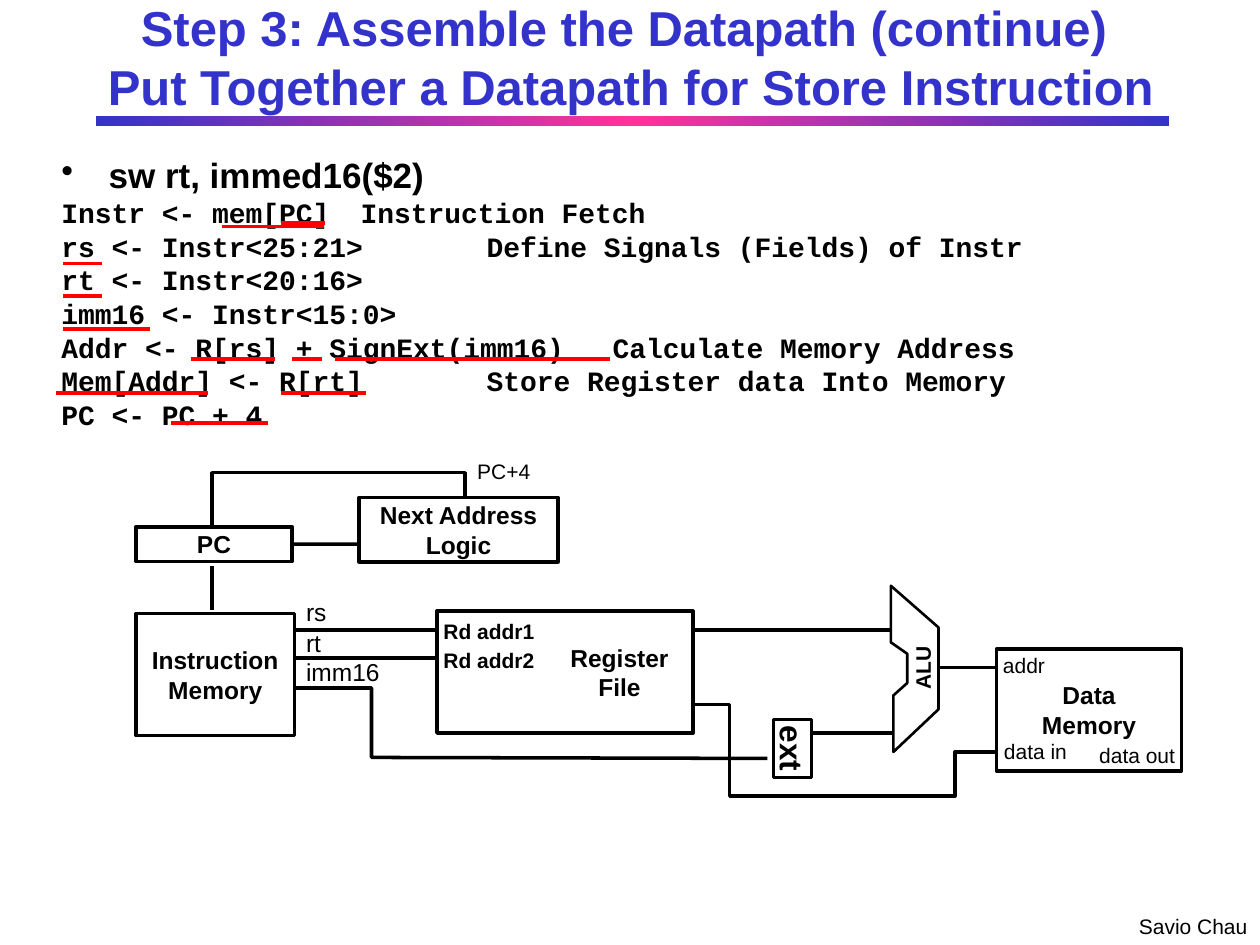
from copy import deepcopy
from pptx import Presentation
from pptx.dml.color import RGBColor as Rgb
from pptx.enum.shapes import MSO_CONNECTOR as Conn, MSO_SHAPE as Kind
from pptx.enum.text import MSO_ANCHOR as Anchor, MSO_AUTO_SIZE as Auto, PP_ALIGN as Align
from pptx.oxml.ns import qn
from pptx.util import Cm, Pt

BLUE, PINK, RED, BLACK, WHITE = "3333CC", "FF3399", "FF0000", "000000", "FFFFFF"

# Content: lengths in cm
TITLE = "Step 3: Assemble the Datapath (continue) \vPut Together a Datapath for Store Instruction"
HEAD = "sw rt, immed16($2)"
CODE = [
    "Instr <- mem[PC] \tInstruction Fetch",
    "rs <- Instr<25:21> \tDefine Signals (Fields) of Instr",
    "rt <- Instr<20:16>",
    "imm16 <- Instr<15:0>",
    "Addr <- R[rs] + SignExt(imm16) \tCalculate Memory Address",
    "Mem[Addr] <- R[rt] \tStore Register data Into Memory",
    "PC <- PC + 4",
]
MARKS = [  # y, then the x spans underlined there
    (4.5, [(5.66, 6.55)]),
    (4.57, [(4.47, 6.53)]),
    (5.31, [(1.27, 2.06)]),
    (5.97, [(1.27, 2.06)]),
    (6.63, [(1.27, 3.02)]),
    (7.24, [(3.86, 5.54), (5.89, 6.5), (6.76, 12.29)]),
    (7.92, [(1.12, 4.19), (5.66, 7.37)]),
    (8.53, [(3.45, 5.41)]),
]
BOXES = [  # text, place, size, left inset, turn
    ("PC", (2.74, 10.62, 3.15, 0.7), 14, 0.25, 0),
    ("Instruction Memory", (2.74, 12.37, 3.2, 2.46), 14, 0.25, 0),
    ("Register\nFile", (8.81, 12.32, 5.16, 2.46), 14, 2.45, 0),
    ("Next Address Logic", (7.24, 10.03, 4.01, 1.3), 14, 0.25, 0),
    ("ext", (15.39, 14.71, 1.17, 0.76), 18, 0, 90),
    ("Data\nMemory", (20.09, 13.08, 3.73, 2.46), 14, 0.25, 0),
]
LABELS = [  # text, place, size, bold, turn, align
    ("Rd addr1", (8.94, 12.47, 2.13, 0.51), 12, True, 0, Align.LEFT),
    ("Rd addr2", (8.94, 13.06, 2.13, 0.51), 12, True, 0, Align.LEFT),
    ("ALU", (17.91, 13.08, 1.37, 0.76), 12, True, 270, Align.CENTER),
    ("addr", (20.22, 13.16, 0.84, 0.51), 12, False, 0, Align.LEFT),
    ("data in", (20.24, 14.88, 1.27, 0.51), 12, False, 0, Align.LEFT),
    ("data out", (22.1, 14.96, 1.65, 0.51), 12, False, 0, Align.CENTER),
    ("PC+4", (9.42, 9.25, 1.47, 0.51), 12, False, 0, Align.CENTER),
    ("rs", (6.17, 12.04, 0.69, 0.58), 14, False, 0, Align.LEFT),
    ("rt", (6.17, 12.67, 0.69, 0.58), 14, False, 0, Align.LEFT),
    ("imm16", (6.17, 13.26, 1.7, 0.58), 14, False, 0, Align.LEFT),
    ("Savio Chau", (22.96, 18.42, 2.19, 0.51), 12, False, 0, Align.LEFT),
]
WIRES = [  # from x, y to x, y
    (5.94, 12.7, 8.81, 12.7),
    (5.94, 13.26, 8.81, 13.26),
    (14.02, 12.7, 17.98, 12.7),
    (16.33, 14.78, 18.01, 14.78),
    (18.92, 13.46, 20.09, 13.46),
    (4.27, 11.4, 4.27, 12.29),
]
BENT = [
    [(5.94, 13.87), (7.49, 13.87), (7.49, 15.27), (15.47, 15.29)],
    [(9.37, 10.03), (9.37, 9.53), (4.27, 9.53), (4.27, 10.6)],
    [(13.97, 14.2), (14.71, 14.2), (14.71, 16.05), (19.25, 16.05), (19.25, 15.16), (20.09, 15.16)],
]
ALU = [(18.92, 14.3), (18.92, 12.65), (17.96, 11.81), (17.96, 12.95),
       (18.29, 13.18), (18.29, 13.77), (18.01, 14.02), (18.01, 15.16)]


def paint(color, hue):
    color.rgb = Rgb.from_string(hue)


def style(para, size, bold=True, hue=BLACK, name="Arial", **fmt):
    for key, val in dict(size=Pt(size), bold=bold, name=name).items():
        setattr(para.font, key, val)
    paint(para.font.color, hue)
    for key, val in fmt.items():
        setattr(para, key, val)


def inset(frame, left=0, top=0, right=0):
    fmt = dict(margin_left=Cm(left), margin_right=Cm(right), margin_top=Cm(top),
               margin_bottom=Cm(top), word_wrap=True, auto_size=Auto.NONE)
    for key, val in fmt.items():
        setattr(frame, key, val)


def edge(line, hue=BLACK, width=2):
    paint(line.color, hue)
    line.width = Pt(width)


def wire(x1, y1, x2, y2, hue=BLACK):
    line = shapes.add_connector(Conn.STRAIGHT, *map(Cm, (x1, y1, x2, y2)))
    edge(line.line, hue)
    prop = line._element.spPr
    prop.append(prop.makeelement(qn("a:effectLst"), {}))
    return line


def trace(pts, closed=False, width=2):
    (x, y), *rest = [tuple(map(Cm, pt)) for pt in pts]
    pen = shapes.build_freeform(x, y)
    pen.add_line_segments(rest, close=closed)
    form = pen.convert_to_shape()
    form.shadow.inherit = False
    edge(form.line, width=width)
    form.fill.background()
    return form


deck = Presentation()
deck.slide_width, deck.slide_height = Cm(25.4), Cm(19.05)
slide = deck.slides.add_slide(deck.slide_layouts[5])
shapes = slide.shapes

# Title and the gradient rule below it
title = shapes.title
title.left, title.top, title.width, title.height = map(Cm, (1.07, -0.03, 23.29, 2.34))
title.text_frame.text = TITLE
title.text_frame.vertical_anchor = Anchor.MIDDLE
inset(title.text_frame, 0.25, 0.13, 0.25)
style(title.text_frame.paragraphs[0], 28, hue=BLUE, alignment=Align.CENTER)

rule = shapes.add_shape(Kind.RECTANGLE, *map(Cm, (1.93, 2.34, 21.64, 0.2)))
rule.shadow.inherit = False
rule.line.fill.background()
rule.fill.gradient()
rule.fill.gradient_angle = 0
stops = rule.fill._fill._gradFill.find(qn("a:gsLst"))
stops.insert(1, deepcopy(stops[0]))
for stop, (pos, hue) in zip(rule.fill.gradient_stops, [(0, BLUE), (0.5, PINK), (1, BLUE)]):
    stop.position = pos
    paint(stop.color, hue)

# Register transfers
body = shapes.add_textbox(*map(Cm, (0.99, 2.97, 23.42, 14.4))).text_frame
inset(body, 0.25, 0.13, 0.25)
body.text = "\n".join([HEAD] + CODE)
for i, para in enumerate(body.paragraphs):
    prop = para._p.get_or_add_pPr()
    for key, val in dict(marL=Cm(0.95), indent=-Cm(0.95), defTabSz=Cm(2.54)).items():
        prop.set(key, str(int(val)))
    if i:
        prop.append(prop.makeelement(qn("a:buNone"), {}))
        style(para, 16, name="Courier New")
    else:
        prop.append(prop.makeelement(qn("a:buChar"), {"char": "•"}))
        style(para, 20)
for y, spans in MARKS:
    for x1, x2 in spans:
        wire(x1, y, x2, y, RED)

# Datapath blocks
block = {}
for text, place, size, left, turn in BOXES:
    box = block[text] = shapes.add_shape(Kind.RECTANGLE, *map(Cm, place))
    box.shadow.inherit = False
    box.fill.background()
    edge(box.line)
    box.rotation = turn
    frame = box.text_frame
    inset(frame, left, right=min(left, 0.25))
    frame.vertical_anchor = Anchor.MIDDLE
    frame.text = text
    for para in frame.paragraphs:
        style(para, size, alignment=Align.CENTER)

# Wires and the ALU outline
for ends in WIRES:
    wire(*ends)
wire(5.89, 10.97, 7.24, 10.97).begin_connect(block["PC"], 3)
for pts in BENT:
    trace(pts)
alu = trace(ALU, True, 1.5)
alu.fill.solid()
paint(alu.fill.fore_color, WHITE)

# Signal names and footer
for text, place, size, bold, turn, side in LABELS:
    box = shapes.add_textbox(*map(Cm, place))
    box.rotation = turn
    inset(box.text_frame)
    box.text_frame.word_wrap = False
    box.text_frame.vertical_anchor = Anchor.MIDDLE
    box.text_frame.text = text
    style(box.text_frame.paragraphs[0], size, bold, alignment=side)

deck.save("out.pptx")
